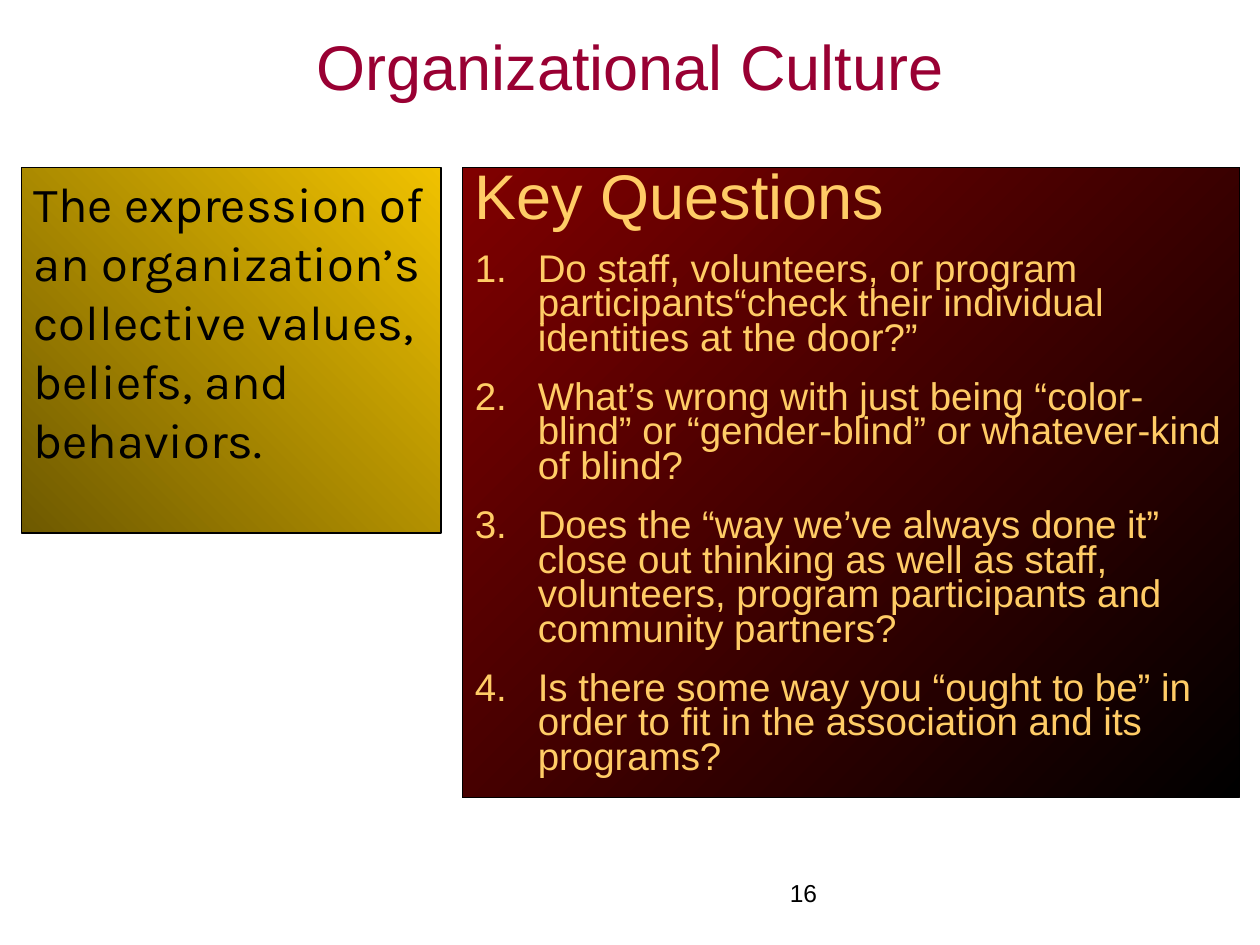
from lxml import etree
from pptx import Presentation
from pptx.dml.color import RGBColor
from pptx.enum.shapes import MSO_SHAPE
from pptx.enum.text import MSO_ANCHOR, MSO_AUTO_SIZE, PP_ALIGN
from pptx.oxml.ns import qn
from pptx.util import Inches, Pt

RECT = MSO_SHAPE.RECTANGLE
TOP = MSO_ANCHOR.TOP
NO_FIT = MSO_AUTO_SIZE.NONE
LEFT, CENTER = PP_ALIGN.LEFT, PP_ALIGN.CENTER

THEME = {
    "title": {"name": "Arial", "size": Pt(36), "color": "990033"},
    "heading": {"name": "Arial", "size": Pt(36), "color": "FFCC66"},
    "question": {"name": "Arial", "size": Pt(22), "color": "FFCC66"},
    "definition": {"name": "Karla", "size": Pt(28), "color": "000000"},
    "number": {"name": "Arial", "size": Pt(14), "color": "000000"},
    "line": "000000",
    "dark_red": ("000000", "800000"),
    "gold": ("F0C200", "6E5900"),
}
QUESTIONS = [
    "Do staff, volunteers, or program participants“check their individual identities at the door?”",
    "What’s wrong with just being “color-blind” or “gender-blind” or whatever-kind of blind?",
    "Does the “way we’ve always done it” close out thinking as well as staff, volunteers, "
    "program participants and community partners?",
    "Is there some way you “ought to be” in order to fit in the association and its programs?",
]


def write(p, text, style, align=LEFT):
    p.alignment = align
    r = p.add_run()
    r.text = text
    for key, value in THEME[style].items():
        if key == "color":
            r.font.color.rgb = RGBColor.from_string(value)
        else:
            setattr(r.font, key, value)


def add_panel(left, width, height, colors, angle):
    sp = s.shapes.add_shape(RECT, Inches(left), Inches(1.33), Inches(width), Inches(height))
    sp.shadow.inherit = False
    sp.fill.gradient()
    sp.fill.gradient_angle = angle
    for stop, color in zip(sp.fill.gradient_stops, THEME[colors]):
        stop.color.rgb = RGBColor.from_string(color)
    sp.line.color.rgb = RGBColor.from_string(THEME["line"])
    sp.line.width = Pt(0.75)
    tf = sp.text_frame
    tf.word_wrap = True
    tf.vertical_anchor = TOP
    return tf


prs = Presentation()
prs.slide_width, prs.slide_height = Inches(10), Inches(7.5)
s = prs.slides.add_slide(prs.slide_layouts[5])

title = s.shapes.title
title.left, title.top = Inches(2.2), Inches(0.17)
title.width, title.height = Inches(5.6), Inches(0.7)
tf = title.text_frame
tf.word_wrap = True
tf.auto_size = NO_FIT
tf.vertical_anchor = TOP
write(tf.paragraphs[0], "Organizational Culture", "title", CENTER)

tf = add_panel(3.67, 6.17, 5, "dark_red", 135)
p = tf.paragraphs[0]
p.line_spacing = 0.75
write(p, "Key Questions", "heading")
for question in QUESTIONS:
    p = tf.add_paragraph()
    p.line_spacing = 0.75
    p.space_before = Pt(13.8)
    pPr = p._p.get_or_add_pPr()
    pPr.set("marL", str(Inches(0.5)))
    pPr.set("indent", str(Inches(-0.5)))
    etree.SubElement(pPr, qn("a:buFont"), typeface="Arial")
    etree.SubElement(pPr, qn("a:buAutoNum"), type="arabicPeriod")
    write(p, question, "question")

tf = add_panel(0.17, 3.33, 2.9, "gold", 225)
write(tf.paragraphs[0],
      "The expression of an organization’s collective values, beliefs, and behaviors.",
      "definition")

number = s.shapes.add_textbox(Inches(6.17), Inches(6.92), Inches(2.33), Inches(0.52))
number.text_frame.word_wrap = True
write(number.text_frame.paragraphs[0], "16", "number")

prs.save("out.pptx")
